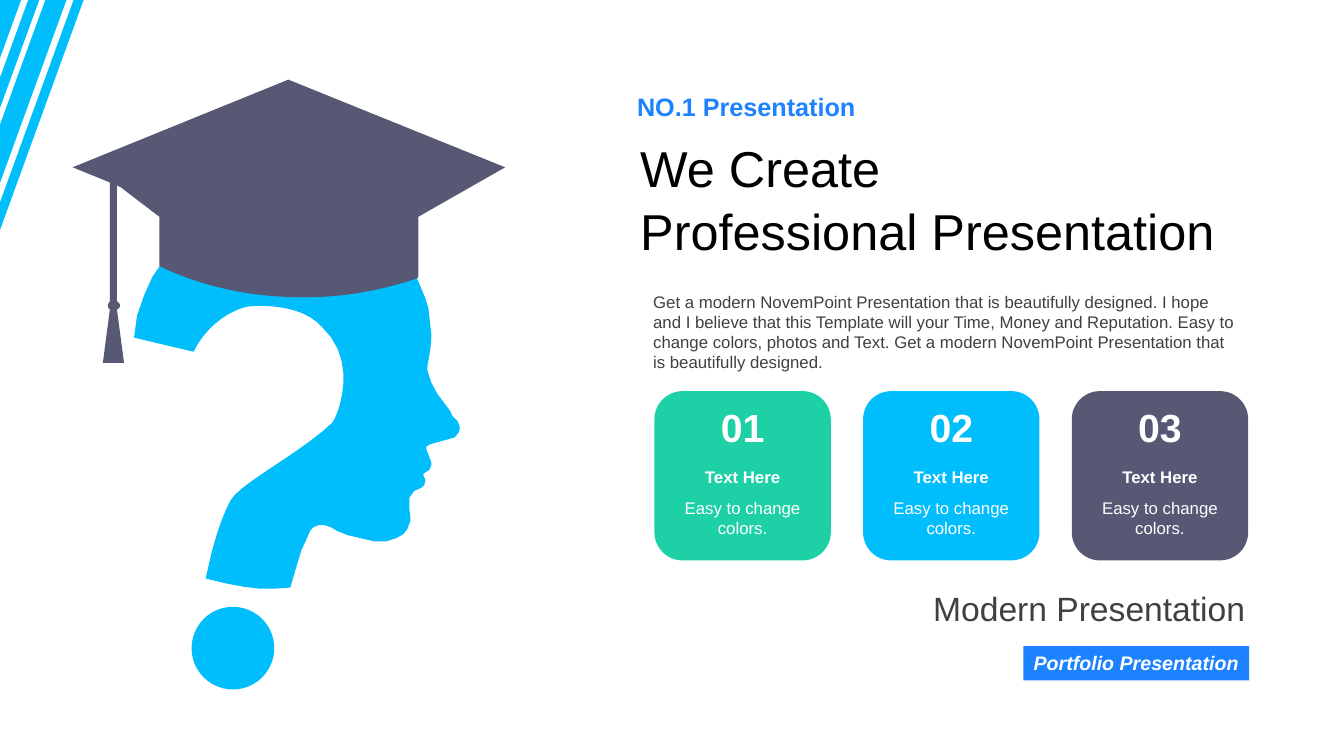
from dataclasses import dataclass

from pptx import Presentation
from pptx.dml.color import RGBColor
from pptx.enum.shapes import MSO_SHAPE as Shape
from pptx.enum.text import MSO_ANCHOR as Anchor, MSO_AUTO_SIZE as AutoSize, PP_ALIGN as Align
from pptx.util import Inches, Pt


@dataclass(frozen=True)
class Theme:
    font: str = "Arial"
    sky: str = "00BDFB"
    slate: str = "565874"
    green: str = "1ED0A6"
    blue: str = "1C82FF"
    black: str = "000000"
    gray: str = "404040"
    white: str = "FFFFFF"
    title: int = 36
    number: int = 28
    tagline: int = 24
    kicker: int = 18
    label: int = 14
    body: int = 12


THEME = Theme()

# Outlines in inches: pairs are line ends, sixes are curves (two handles, end)
HEAD = [
    (3.1, 2.09), (3.23, 2.12), (3.54, 2.23), (3.72, 2.33), (3.88, 2.45), (4.02, 2.6),
    (4.14, 2.77), (4.22, 2.96), (4.25, 3.06), (4.28, 3.33), (4.27, 3.46), (4.24, 3.63),
    (4.24, 3.68), (4.28, 3.8), (4.34, 3.91), (4.46, 4.07), (4.49, 4.13), (4.54, 4.18),
    (4.56, 4.23), (4.56, 4.26), (4.55, 4.29), (4.51, 4.34), (4.44, 4.36), (4.33, 4.39),
    (4.26, 4.41), (4.23, 4.43), (4.23, 4.46), (4.28, 4.59), (4.28, 4.61), (4.26, 4.66),
    (4.2, 4.7), (4.2, 4.72), (4.22, 4.76), (4.21, 4.81), (4.18, 4.84), (4.11, 4.87),
    (4.08, 4.91), (4.06, 4.94), (4.06, 5.05), (4.07, 5.12), (4.07, 5.17), (4.04, 5.25),
    (4, 5.3), (3.93, 5.34), (3.83, 5.37), (3.71, 5.37), (3.58, 5.34), (3.45, 5.31),
    (3.35, 5.27), (3.28, 5.23), (3.22, 5.21), (3.16, 5.21), (3.11, 5.23), (3.08, 5.26),
    (3.04, 5.35), (2.99, 5.46), (2.95, 5.59), (2.88, 5.83), (2.72, 5.84), (2.57, 5.84),
    (2.41, 5.82), (2.25, 5.79), (2.04, 5.74), (2.1, 5.48),
    (2.15, 5.29, 2.21, 5.11, 2.29, 4.96), (2.39, 4.79, 2.99, 4.49, 3.3, 4.19),
    (3.36, 4.1, 3.56, 3.58, 3.19, 3.24), (3.03, 3.06, 2.72, 3.02, 2.47, 3.04),
    (2.33, 3.06, 2.06, 3.2, 1.92, 3.49), (1.33, 3.35), (1.36, 3.13), (1.43, 2.93),
    (1.51, 2.75), (1.62, 2.59), (1.76, 2.44), (1.93, 2.31), (2.12, 2.2), (2.33, 2.13),
    (2.56, 2.08), (2.69, 2.07), (2.82, 2.07), (2.96, 2.08),
]
CAP = [
    (2.86, 0.79), (0.72, 1.66), (1.09, 1.81), (1.09, 2.99),
    (1.08, 3, 1.07, 3.02, 1.07, 3.03), (1.07, 3.05, 1.08, 3.06, 1.09, 3.07),
    (1.02, 3.6), (1.23, 3.6), (1.16, 3.07), (1.18, 3.06, 1.19, 3.05, 1.19, 3.03),
    (1.19, 3.02, 1.18, 3, 1.16, 2.99), (1.16, 1.84), (1.2, 1.86), (1.58, 2.15),
    (1.58, 2.64), (1.99, 2.84, 2.48, 2.95, 3.01, 2.95),
    (3.41, 2.95, 3.79, 2.88, 4.14, 2.76), (4.15, 2.74), (4.15, 2.15), (5.01, 1.66),
]


def paint(shape, color):
    shape.shadow.inherit = False
    shape.fill.solid()
    shape.fill.fore_color.rgb = RGBColor.from_string(color)
    shape.line.fill.background()


def add_block(slide, kind, box, color):
    shape = slide.shapes.add_shape(kind, *map(Inches, box))
    paint(shape, color)
    return shape


def flatten(outline, steps=10):
    """Turn lines and cubic curves into a list of points."""
    points = []
    for part in outline:
        if len(part) == 2:
            points.append(part)
            continue
        start, first, second, end = points[-1], part[:2], part[2:4], part[4:]
        for step in range(1, steps + 1):
            t = step / steps
            u = 1 - t
            points.append(tuple(
                u**3 * a + 3 * u * u * t * b + 3 * u * t * t * c + t**3 * d
                for a, b, c, d in zip(start, first, second, end)))
    return points


def add_outline(slide, left, top, contours, color):
    contours = [[(Inches(left + x), Inches(top + y)) for x, y in flatten(contour)]
                for contour in contours]
    builder = slide.shapes.build_freeform(*contours[0][0])
    for index, points in enumerate(contours):
        if index:
            builder.move_to(*points[0])
        builder.add_line_segments(points[1:], close=True)
    paint(builder.convert_to_shape(), color)


def write(shape, text, size, color, align=Align.LEFT, bold=False, italic=False,
          anchor=Anchor.TOP, insets=(0.1, 0.05, 0.1, 0.05)):
    frame = shape.text_frame
    frame.word_wrap = True
    frame.auto_size = AutoSize.NONE
    frame.vertical_anchor = anchor
    (frame.margin_left, frame.margin_top,
     frame.margin_right, frame.margin_bottom) = map(Inches, insets)
    frame.text = text
    for paragraph in frame.paragraphs:
        paragraph.alignment = align
        for run in paragraph.runs:
            font = run.font
            font.name, font.size = THEME.font, Pt(size)
            font.bold, font.italic = bold, italic
            font.color.rgb = RGBColor.from_string(color)


def add_text(slide, box, *content, **style):
    write(slide.shapes.add_textbox(*map(Inches, box)), *content, **style)


def add_stripes(slide, left, top):
    slope = 2.75
    edges = [(0, 0.21), (0.28, 0.39), (0.45, 0.66), (0.73, 0.83)]
    contours = [[(inner, 0), (outer, 0), (0, outer * slope), (0, inner * slope)]
                for inner, outer in edges]
    add_outline(slide, left, top, contours, THEME.sky)


def add_graduate(slide, left, top):
    add_outline(slide, left, top, [HEAD], THEME.sky)
    add_block(slide, Shape.OVAL, (left + 1.9, top + 6.02, 0.82, 0.82), THEME.sky)
    add_outline(slide, left, top, [CAP], THEME.slate)


def add_heading(slide, left, top, width):
    add_text(slide, (left, top, width, 0.4), "NO.1 Presentation",
             THEME.kicker, THEME.blue, bold=True)
    title = slide.shapes.title
    title.left, title.top = Inches(left + 0.08), Inches(top + 0.48)
    title.width, title.height = Inches(width - 0.08), Inches(1.21)
    write(title, "We Create\nProfessional Presentation", THEME.title, THEME.black,
          insets=(0.05, 0, 0.03, 0))
    for paragraph in title.text_frame.paragraphs:
        paragraph.line_spacing = 1.04
    add_text(slide, (left + 0.16, top + 1.98, 6, 0.91),
             "Get a modern NovemPoint Presentation that is beautifully designed. "
             "I hope and I believe that this Template will your Time, Money and "
             "Reputation. Easy to change colors, photos and Text. Get a modern "
             "NovemPoint Presentation that is beautifully designed.",
             THEME.body, THEME.gray)


def add_card(slide, left, top, width, height, number, color):
    add_block(slide, Shape.ROUNDED_RECTANGLE, (left, top, width, height), color)
    inner_left, inner_width = left + 0.1, width - 0.2
    rows = [
        (0.09, 0.53, f"{number:02}", THEME.number, True, Anchor.MIDDLE),
        (0.7, 0.3, "Text Here", THEME.body, True, Anchor.TOP),
        (1.01, 0.5, "Easy to change colors.", THEME.body, False, Anchor.TOP),
    ]
    for offset, row_height, text, size, bold, anchor in rows:
        add_text(slide, (inner_left, top + offset, inner_width, row_height), text, size,
                 THEME.white, align=Align.CENTER, bold=bold, anchor=anchor)


def add_cards(slide, left, top):
    width, height, gap = 1.75, 1.68, 0.32
    for index, color in enumerate((THEME.green, THEME.sky, THEME.slate)):
        add_card(slide, left + index * (width + gap), top, width, height, index + 1, color)


def add_footer(slide, right, top):
    add_text(slide, (right - 3.41, top, 3.41, 0.4), "Modern Presentation", THEME.tagline,
             THEME.gray, align=Align.RIGHT, anchor=Anchor.MIDDLE, insets=(0.04, 0, 0.04, 0))
    badge = add_block(slide, Shape.RECTANGLE, (right - 2.24, top + 0.58, 2.24, 0.34), THEME.blue)
    write(badge, "Portfolio Presentation", THEME.label, THEME.white, align=Align.CENTER,
          bold=True, italic=True)


def main():
    presentation = Presentation()
    presentation.slide_width, presentation.slide_height = Inches(13.33), Inches(7.5)
    slide = presentation.slides.add_slide(presentation.slide_layouts[5])

    # Artwork on the left
    add_graduate(slide, 0, 0)
    add_stripes(slide, 0, 0)

    # Message on the right
    add_heading(slide, 6.22, 0.86, 6.17)
    add_cards(slide, 6.49, 3.88)
    add_footer(slide, 12.39, 5.83)

    presentation.save("out.pptx")


if __name__ == "__main__":
    main()
